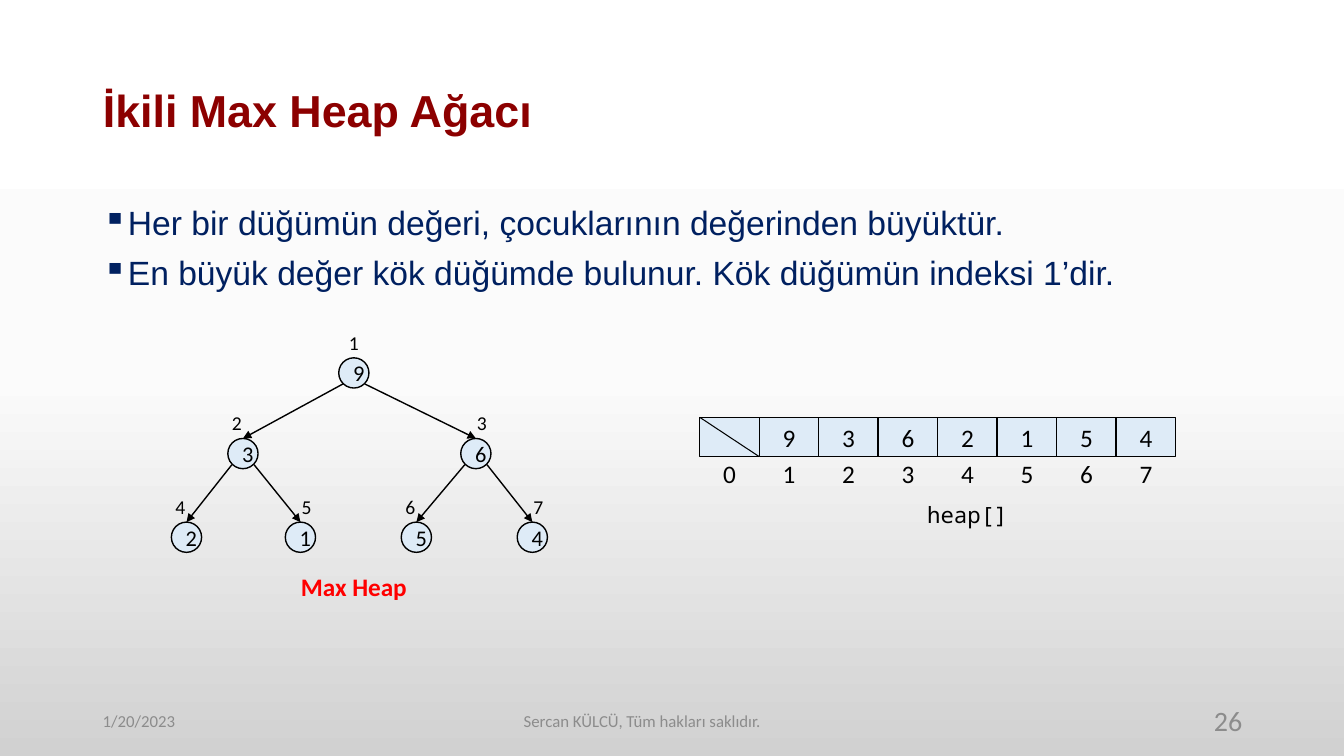
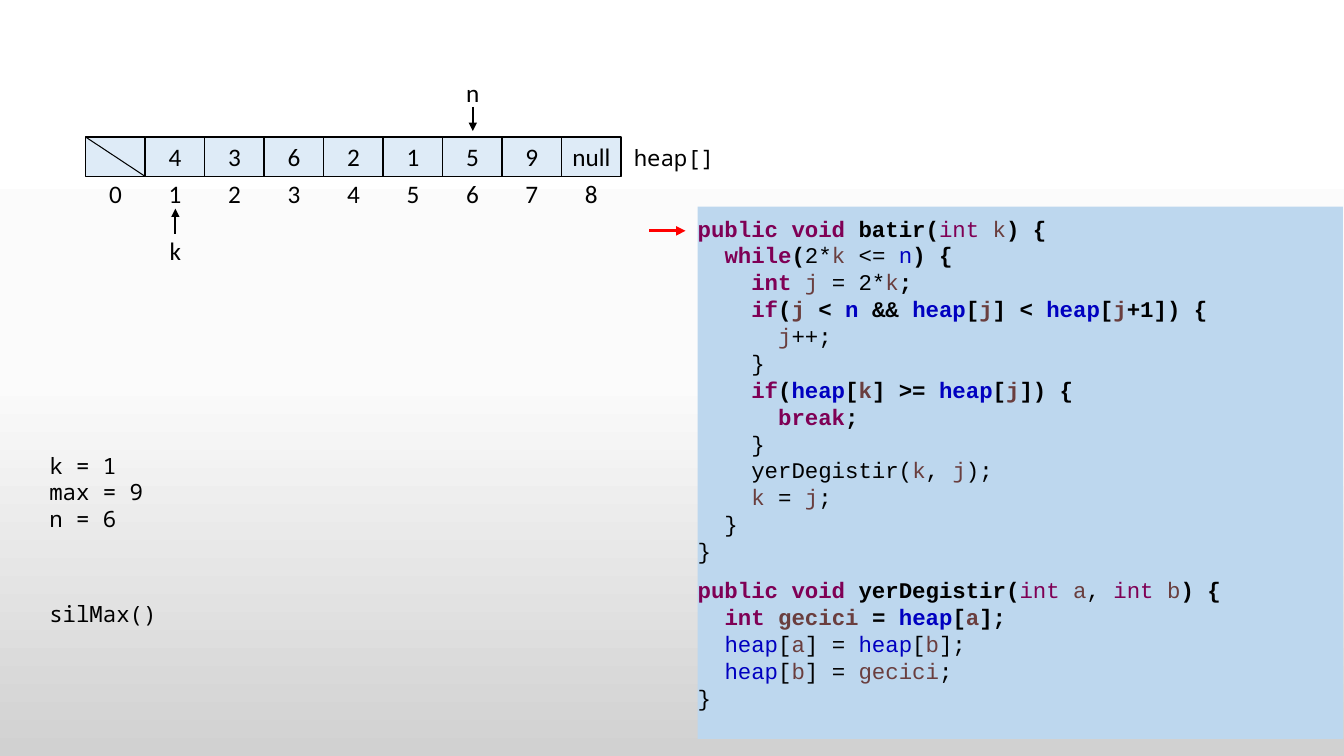
from copy import deepcopy
from itertools import groupby

from lxml import etree
from pptx import Presentation
from pptx.dml.color import RGBColor
from pptx.enum.shapes import MSO_CONNECTOR, MSO_SHAPE
from pptx.enum.text import MSO_ANCHOR, MSO_AUTO_SIZE, PP_ALIGN
from pptx.oxml.ns import qn
from pptx.util import Inches, Pt

BLACK, RED, GRAY = "000000", "FF0000", "8C8C8C"
KEYWORD, VARIABLE, FIELD = "7F0055", "6A3E3E", "0000C0"
CELL_W, CELL_H, NODE = 0.59, 0.39, 0.3
LEFT, CENTER, RIGHT = PP_ALIGN.LEFT, PP_ALIGN.CENTER, PP_ALIGN.RIGHT

WORD_COLORS = {
    **dict.fromkeys(["public", "void", "int", "while", "if", "break"], KEYWORD),
    **dict.fromkeys(["k", "j", "a", "b", "gecici"], VARIABLE),
    **dict.fromkeys(["heap", "n"], FIELD),
}

# A bar switches bold on or off.
METHODS = [
    [
        "|public void batir(|int k|) {",
        "  |while(|2*k <= n|) {",
        "    |int| j = 2*k|;",
        "    |if(j < n && heap[j] < heap[j+1]) {",
        "      j++;",
        "    }",
        "    |if(heap[k] >= heap[j]) {",
        "      |break;",
        "    }",
        "    yerDegistir(k, j);",
        "    k = j;",
        "  }",
        "}",
    ],
    [
        "|public void yerDegistir(|int a, int b|) {",
        "  |int gecici = heap[a];",
        "  heap[a] = heap[b];",
        "  heap[b] = gecici;",
        "}",
    ],
]


def rgb(value):
    return RGBColor.from_string(value)


class Deck:
    body_font, ui_font = "Arial", "Calibri"
    mono_font, code_font = "Noto Sans Mono", "Courier New"
    cell_fill, code_fill = "DEEBF7", "BDD7EE"

    def __init__(self):
        self.prs = Presentation()
        self.prs.slide_width, self.prs.slide_height = Inches(13.33), Inches(7.5)
        self.slide = None
        self.background([(0, "FFFFFF"), (0.5, "FBFBFB"), (1, "D1D1D1")])

    def background(self, stops):
        """Give the master a top-to-bottom gradient that all slides inherit."""
        fill = self.prs.slide_master.background.fill
        fill.gradient()
        fill.gradient_angle = 270
        gs_list = self.prs.slide_master.element.find(".//" + qn("a:gsLst"))
        gs_list.append(deepcopy(gs_list[0]))
        for stop, (position, color) in zip(fill.gradient_stops, stops):
            stop.position = position
            stop.color.rgb = rgb(color)

    def new_slide(self, title=None):
        layout = self.prs.slide_layouts[5 if title else 6]
        self.slide = self.prs.slides.add_slide(layout)
        if not title:
            return
        sp = self.slide.shapes.title
        sp.left, sp.top = Inches(0.92), Inches(0.4)
        sp.width, sp.height = Inches(11.5), Inches(1.45)
        tf = sp.text_frame
        tf.auto_size, tf.vertical_anchor = MSO_AUTO_SIZE.NONE, MSO_ANCHOR.MIDDLE
        p = tf.paragraphs[0]
        p.alignment, p.line_spacing = LEFT, 0.9
        self.run(p, title, 32, "8C0000", self.body_font, True)

    def run(self, p, text, size, color=BLACK, font=ui_font, bold=False):
        r = p.add_run()
        r.text = text
        r.font.size, r.font.name, r.font.bold = Pt(size), font, bold
        r.font.color.rgb = rgb(color)

    def text(self, x, y, w, h, lines, size, color=BLACK, font=ui_font, bold=False,
             align=CENTER, anchor=MSO_ANCHOR.TOP, wrap=False):
        sp = self.slide.shapes.add_textbox(Inches(x), Inches(y), Inches(w), Inches(h))
        tf = sp.text_frame
        tf.word_wrap, tf.vertical_anchor = wrap, anchor
        tf.auto_size = MSO_AUTO_SIZE.NONE if wrap else MSO_AUTO_SIZE.SHAPE_TO_FIT_TEXT
        for i, line in enumerate(lines):
            p = tf.add_paragraph() if i else tf.paragraphs[0]
            p.alignment = align
            self.run(p, line, size, color, font, bold)
        return tf

    def bullets(self, lines):
        tf = self.text(0.92, 2, 11.5, 1.2, lines, 24, "002060", self.body_font,
                       align=PP_ALIGN.JUSTIFY, wrap=True)
        for i, p in enumerate(tf.paragraphs):
            pPr = p._p.get_or_add_pPr()
            pPr.set("marL", str(Inches(0.25)))
            pPr.set("indent", str(-Inches(0.25)))
            etree.SubElement(pPr, qn("a:buChar")).set("char", "▪")
            p.line_spacing = 0.9
            p.space_before = Pt(10 if i else 0)

    def footer(self, date, owner, number):
        for x, w, text, size, align in [(0.92, 3, date, 12, LEFT),
                                        (2.58, 7.58, owner, 12, CENTER),
                                        (9.42, 3, number, 20, RIGHT)]:
            self.text(x, 6.95, w, 0.4, [text], size, GRAY, align=align,
                      anchor=MSO_ANCHOR.MIDDLE, wrap=True)

    def shape(self, kind, x, y, w, h, fill, text="", size=18, line=BLACK):
        sp = self.slide.shapes.add_shape(kind, Inches(x), Inches(y), Inches(w), Inches(h))
        sp.shadow.inherit = False
        sp.fill.solid()
        sp.fill.fore_color.rgb = rgb(fill)
        if line:
            sp.line.color.rgb = rgb(line)
            sp.line.width = Pt(1)
        else:
            sp.line.fill.background()
        if text:
            p = sp.text_frame.paragraphs[0]
            p.alignment = CENTER
            self.run(p, text, size)
        return sp

    def line(self, x1, y1, x2, y2, width=1, color=BLACK, arrow=True):
        cx = self.slide.shapes.add_connector(
            MSO_CONNECTOR.STRAIGHT, Inches(x1), Inches(y1), Inches(x2), Inches(y2))
        cx.line.color.rgb = rgb(color)
        cx.line.width = Pt(width)
        if arrow:
            etree.SubElement(cx.line._get_or_add_ln(), qn("a:tailEnd")).set("type", "triangle")
        etree.SubElement(cx._element.spPr, qn("a:effectLst"))
        return cx

    def heap_array(self, x, y, values, label_x, label_y):
        """Draw cells with their indices below; cell 0 is unused and struck out."""
        self.text(label_x, label_y, 1.01, 0.37, ["heap[]"], 16, font=self.mono_font)
        for i, value in enumerate(["", *values]):
            left = x + i * CELL_W
            self.shape(MSO_SHAPE.RECTANGLE, left, y, CELL_W, CELL_H, self.cell_fill, value)
            self.text(left, y + 0.36, CELL_W, 0.4, [str(i)], 18)
        self.line(x, y, x + CELL_W, y + CELL_H, 0.75, arrow=False)

    def heap_tree(self, values, centers):
        """Draw a binary tree; the node with index i hangs below node i // 2."""
        nodes = {}
        for i, (value, (x, y)) in enumerate(zip(values, centers), 1):
            node = self.shape(MSO_SHAPE.OVAL, x - NODE / 2, y - NODE / 2, NODE, NODE,
                              self.cell_fill, value, 16)
            nodes[i] = node
            side = 1 if i % 2 else -1
            shift = 0.06 * side if i > 1 else 0
            self.text(x + shift - 0.15, y - 0.47, 0.3, 0.34, [str(i)], 14)
            if i > 1:
                px, py = centers[i // 2 - 1]
                edge = self.line(px + 0.11 * side, py + 0.11, x, y - NODE / 2)
                edge.end_connect(node, 0)

    def pointer(self, name, x, text_y, start, end):
        self.text(x - 0.17, text_y, 0.34, 0.4, [name], 18)
        self.line(x, start, x, end, 1.5)

    def code(self, x, y, w, h, methods):
        sp = self.shape(MSO_SHAPE.RECTANGLE, x, y, w, h, self.code_fill, line=None)
        tf = sp.text_frame
        tf.word_wrap, tf.vertical_anchor = True, MSO_ANCHOR.TOP
        tf.margin_left = tf.margin_right = 0
        tf.margin_top = tf.margin_bottom = Inches(0.08)
        p = None
        for method in methods:
            for n, line in enumerate(method):
                gap = 9 if p is not None and n == 0 else 0
                p = tf.paragraphs[0] if p is None else tf.add_paragraph()
                p.alignment, p.space_before = LEFT, Pt(gap)
                self.code_line(p, line)

    def code_line(self, p, line):
        for i, part in enumerate(line.split("|")):
            for _, chars in groupby(part, str.isalnum):
                token = "".join(chars)
                self.run(p, token, 16, WORD_COLORS.get(token, BLACK),
                         self.code_font, i % 2 == 1)


def tree_slide(deck):
    deck.new_slide("İkili Max Heap Ağacı")
    deck.bullets(["Her bir düğümün değeri, çocuklarının değerinden büyüktür.",
                  "En büyük değer kök düğümde bulunur. Kök düğümün indeksi 1’dir."])
    deck.footer("1/20/2023", "Sercan KÜLCÜ, Tüm hakları saklıdır.", "26")
    values = "9362154"
    deck.heap_array(6.94, 4.14, values, 9.09, 4.92)
    deck.heap_tree(values, [(3.51, 3.7), (2.41, 4.5), (4.72, 4.5), (1.85, 5.33),
                            (2.98, 5.33), (4.13, 5.33), (5.28, 5.33)])
    deck.text(2.88, 5.62, 1.26, 0.4, ["Max Heap"], 18, RED, bold=True)


def delete_slide(deck):
    deck.new_slide()
    deck.heap_array(0.85, 1.36, [*"4362159", "null"], 6.18, 1.38)
    for y, w, h, lines in [(5.9, 1.28, 0.37, ["silMax()"]),
                           (4.42, 1.15, 0.91, ["k = 1", "max = 9", "n = 6"])]:
        deck.text(0.39, y, w, h, lines, 16, font=deck.mono_font, align=LEFT,
                  anchor=MSO_ANCHOR.BOTTOM)
    deck.line(6.44, 2.29, 6.8, 2.29, 2.25, RED)
    deck.pointer("n", 4.69, 0.72, 1.06, 1.3)
    deck.pointer("k", 1.74, 2.29, 2.32, 2.07)
    deck.code(6.92, 2.05, 6.4, 5.28, METHODS)


def main():
    deck = Deck()
    tree_slide(deck)
    delete_slide(deck)
    deck.prs.save("out.pptx")


if __name__ == "__main__":
    main()
